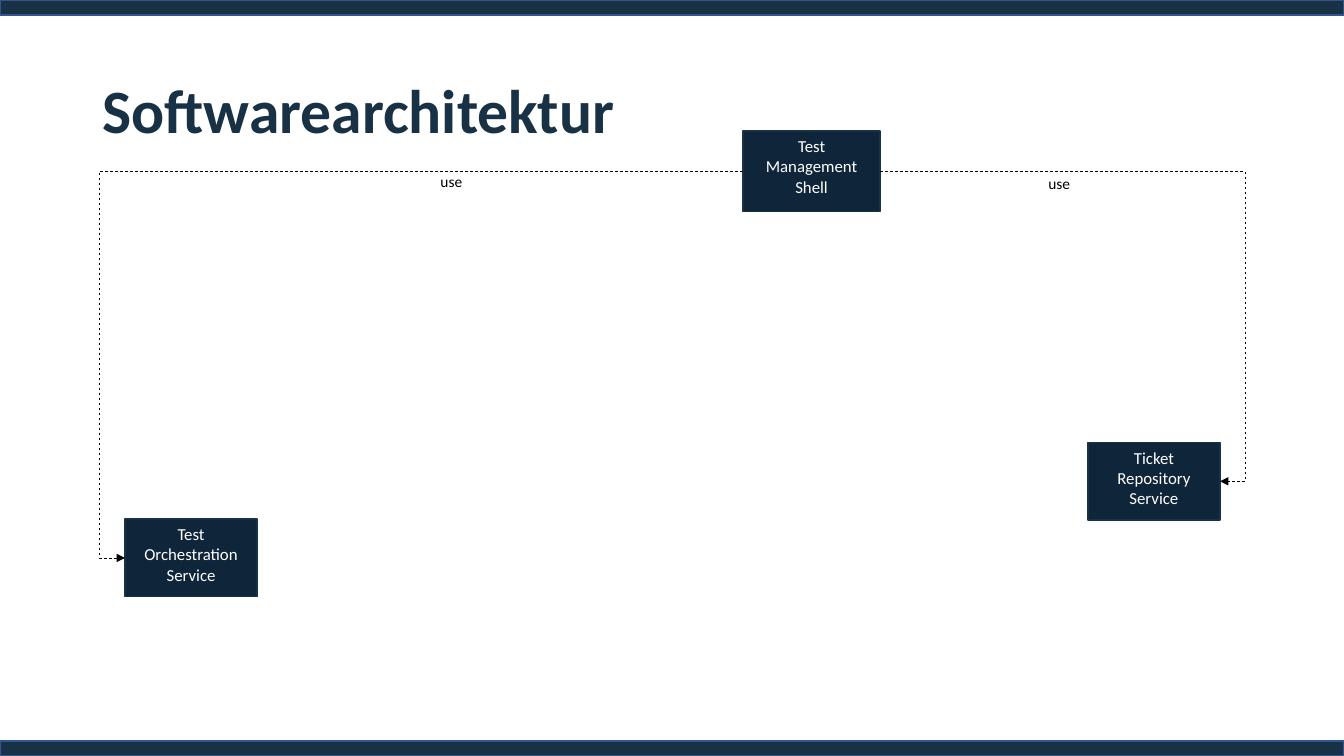
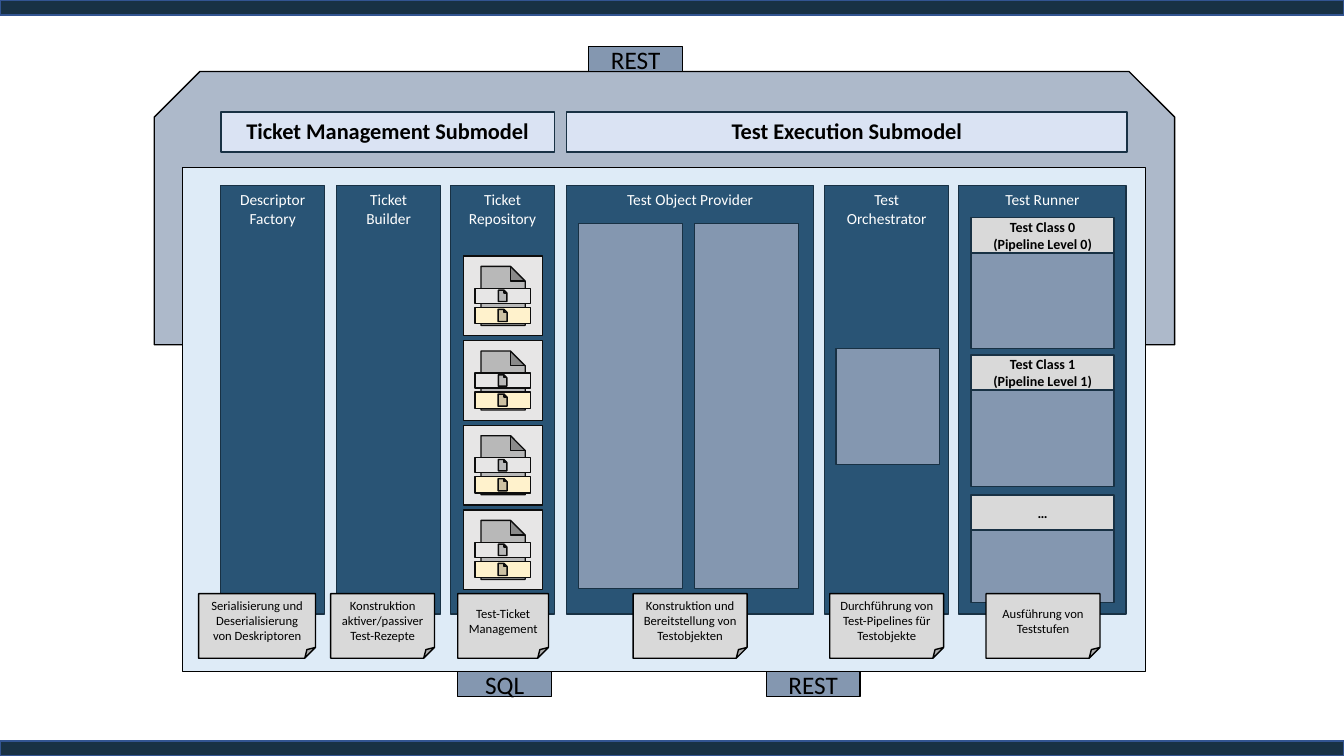
from dataclasses import dataclass

from lxml import etree
from pptx import Presentation
from pptx.dml.color import RGBColor
from pptx.enum.dml import MSO_LINE
from pptx.enum.shapes import MSO_CONNECTOR, MSO_SHAPE as SHAPE
from pptx.enum.text import MSO_ANCHOR as ANCHOR, PP_ALIGN as ALIGN
from pptx.oxml.ns import qn
from pptx.util import Emu, Pt

SCALE = 9144  # EMU per px, 100 px to the inch
SLIDE_W, SLIDE_H = 1333, 750
LEFT_SITE, RIGHT_SITE = 1, 3


@dataclass(frozen=True)
class Theme:
    font: str = "Calibri"
    # Colours
    band: str = "183144"
    band_edge: str = "325491"
    service: str = "0F2539"
    column: str = "295475"
    slot: str = "8497B0"
    hull: str = "ADB9CA"
    platform: str = "DEEBF7"
    submodel: str = "DAE3F3"
    note: str = "D9D9D9"
    ticket: str = "E7E6E6"
    ticket_mark: str = "FFF2CC"
    ticket_edge: str = "0D0D0D"
    black: str = "000000"
    white: str = "FFFFFF"
    # Type sizes in points
    title_size: int = 44
    port_size: int = 18
    submodel_size: int = 16
    service_size: int = 12
    label_size: int = 11
    stage_size: int = 10
    note_size: int = 9


THEME = Theme()


def px(length):
    return Emu(length * SCALE)


def rgb(colour):
    return RGBColor.from_string(colour)


# Basic elements

def write(shape, text, size, colour, bold=False, align=ALIGN.CENTER,
          anchor=ANCHOR.TOP, inset=10, spacing=None):
    """Fill a shape with text, one paragraph per line of the string."""
    frame = shape.text_frame
    frame.word_wrap = True
    frame.vertical_anchor = anchor
    frame.margin_left = frame.margin_right = px(inset)
    frame.margin_top = frame.margin_bottom = px(5)
    for index, line in enumerate(text.split("\n")):
        para = frame.add_paragraph() if index else frame.paragraphs[0]
        para.alignment = align
        if spacing:
            para.line_spacing = spacing
        span = para.add_run()
        span.text = line
        span.font.name = THEME.font
        span.font.size = Pt(size)
        span.font.bold = bold
        span.font.color.rgb = rgb(colour)


def add_box(page, left, top, width, height, fill, edge=THEME.band,
            kind=SHAPE.RECTANGLE):
    box = page.shapes.add_shape(kind, px(left), px(top), px(width), px(height))
    box.shadow.inherit = False
    box.fill.solid()
    box.fill.fore_color.rgb = rgb(fill)
    box.line.color.rgb = rgb(edge)
    box.line.width = Pt(1)
    return box


def add_label(page, left, top, width, height, text, size, colour, **style):
    label = page.shapes.add_textbox(px(left), px(top), px(width), px(height))
    write(label, text, size, colour, align=ALIGN.LEFT, **style)


def add_page(deck):
    """Blank slide with the band at its top and bottom."""
    page = deck.slides.add_slide(deck.slide_layouts[6])
    for top in (0, SLIDE_H - 15):
        add_box(page, 0, top, SLIDE_W, 15, THEME.band, THEME.band_edge)
    return page


# Elements of the service overview

def add_service(page, left, top, width, height, text):
    box = add_box(page, left, top, width, height, THEME.service)
    write(box, text, THEME.service_size, THEME.white)
    return box


def add_use_arrow(page, user, used, site, lane):
    """Dashed elbow arrow between two equal sides, turning at x = lane."""
    begin, end = [
        (box.left + (box.width if site == RIGHT_SITE else 0),
         box.top + box.height // 2) for box in (user, used)]
    arrow = page.shapes.add_connector(MSO_CONNECTOR.ELBOW, *begin, *end)
    arrow.begin_connect(user, site)
    arrow.end_connect(used, site)
    arrow.line.color.rgb = rgb(THEME.black)
    arrow.line.width = Pt(0.5)
    arrow.line.dash_style = MSO_LINE.DASH

    # Bend position, arrowhead and no shadow
    props = arrow._element.spPr
    bend = round(100000 * (px(lane) - begin[0]) / (end[0] - begin[0]))
    guides = props.find(qn("a:prstGeom")).find(qn("a:avLst"))
    etree.SubElement(guides, qn("a:gd"), name="adj1", fmla=f"val {bend}")
    etree.SubElement(props.find(qn("a:ln")), qn("a:tailEnd"), type="triangle")
    etree.SubElement(props, qn("a:effectLst"))


# Elements of the platform diagram

def add_port(page, left, top, text):
    box = add_box(page, left, top, 93, 25, THEME.slot, THEME.black)
    write(box, text, THEME.port_size, THEME.black, anchor=ANCHOR.MIDDLE)


def add_submodel(page, left, width, text):
    box = add_box(page, left, 111, width, 40, THEME.submodel)
    write(box, text, THEME.submodel_size, THEME.black, bold=True)


def add_column(page, left, width, text):
    box = add_box(page, left, 184, width, 425, THEME.column)
    write(box, text, THEME.label_size, THEME.white)


def add_note(page, left, width, text):
    box = add_box(page, left, 589, width, 64, THEME.note, THEME.black,
                  SHAPE.FOLDED_CORNER)
    write(box, text, THEME.note_size, THEME.black, anchor=ANCHOR.MIDDLE,
          inset=max(4, (width - 96) // 2))


def add_ticket(page, top):
    parts = [(460, 0, 78, 79, THEME.ticket),
             (471, 32, 55, 15, THEME.ticket),
             (471, 51, 55, 16, THEME.ticket_mark)]
    for left, drop, width, height, fill in parts:
        add_box(page, left, top + drop, width, height, fill,
                THEME.ticket_edge, SHAPE.ACTION_BUTTON_DOCUMENT)


def add_stage(page, top, body_height, text):
    head_height = 35
    add_box(page, 963, top + head_height, 142, body_height, THEME.slot)
    head = add_box(page, 963, top, 142, head_height, THEME.note)
    write(head, text, THEME.stage_size, THEME.black, bold=True,
          anchor=ANCHOR.MIDDLE)


# Slides

def build_services(deck):
    page = add_page(deck)
    add_label(page, 92, 40, 1150, 145, "Softwarearchitektur",
              THEME.title_size, THEME.band, bold=True,
              anchor=ANCHOR.MIDDLE, spacing=0.9)
    shell = add_service(page, 737, 130, 136, 80, "Test Management Shell")
    orchestration = add_service(page, 124, 515, 131, 77,
                                "Test Orchestration Service")
    repository = add_service(page, 1079, 439, 131, 77,
                             "Ticket Repository Service")
    add_use_arrow(page, shell, orchestration, LEFT_SITE, 98)
    add_use_arrow(page, shell, repository, RIGHT_SITE, 1235)
    for left, top, width in [(427, 166, 48), (1030, 168, 73)]:
        add_label(page, left, top, width, 31, "use",
                  THEME.label_size, THEME.black)


def build_platform(deck):
    page = add_page(deck)

    # Hull, platform and submodels
    add_box(page, 153, 71, 1012, 271, THEME.hull, THEME.black,
            SHAPE.SNIP_2_SAME_RECTANGLE)
    add_box(page, 181, 166, 955, 500, THEME.platform, THEME.black)
    add_submodel(page, 219, 331, "Ticket Management Submodel")
    add_submodel(page, 562, 556, "Test Execution Submodel")

    # Component columns
    for left, width, text in [
            (219, 103, "Descriptor\nFactory"),
            (334, 103, "Ticket Builder"),
            (447, 103, "Ticket Repository"),
            (562, 245, "Test Object Provider"),
            (818, 123, "Test Orchestrator"),
            (951, 166, "Test Runner")]:
        add_column(page, left, width, text)

    # Contents of the columns
    for index in range(4):
        add_ticket(page, 254 + 84 * index)
    for left, top, height in [(574, 222, 362), (689, 222, 362),
                              (829, 346, 115)]:
        add_box(page, left, top, 103, height, THEME.slot)
    for top, body_height, text in [
            (216, 95, "Test Class 0\n(Pipeline Level 0)"),
            (352, 96, "Test Class 1\n(Pipeline Level 1)"),
            (491, 72, "…")]:
        add_stage(page, top, body_height, text)

    # Notes at the foot of the columns
    for left, width, text in [
            (197, 116, "Serialisierung und Deserialisierung von Deskriptoren"),
            (328, 103, "Konstruktion aktiver/passiver Test-Rezepte"),
            (454, 90, "Test-Ticket Management"),
            (628, 113, "Konstruktion und Bereitstellung von Testobjekten"),
            (823, 113, "Durchführung von Test-Pipelines für Testobjekte"),
            (978, 113, "Ausführung von Teststufen")]:
        add_note(page, left, width, text)

    # Ports
    for left, top, text in [(584, 46, "REST"), (454, 666, "SQL"),
                            (760, 666, "REST")]:
        add_port(page, left, top, text)


def main():
    deck = Presentation()
    deck.slide_width, deck.slide_height = px(SLIDE_W), px(SLIDE_H)
    build_services(deck)
    build_platform(deck)
    deck.save("out.pptx")


if __name__ == "__main__":
    main()
